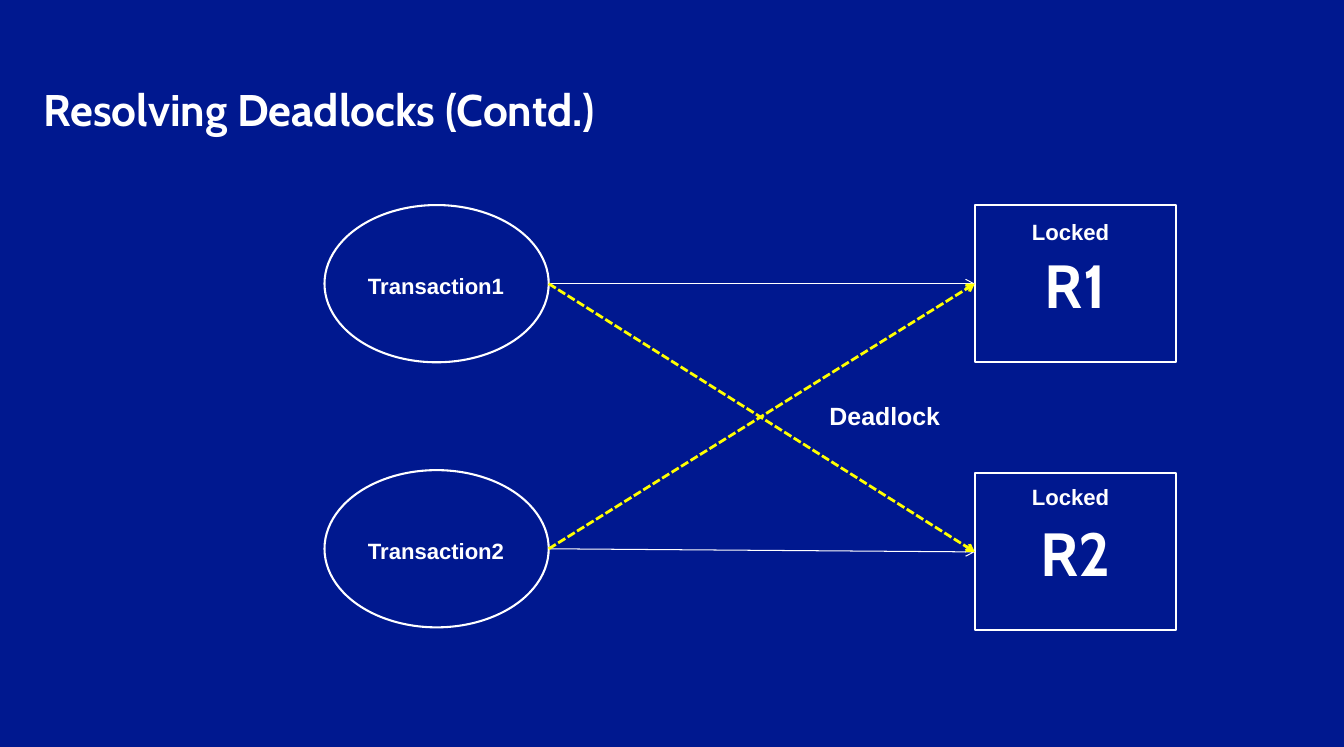
from dataclasses import dataclass

from lxml.etree import SubElement
from pptx import Presentation
from pptx.dml.color import RGBColor
from pptx.enum.dml import MSO_LINE
from pptx.enum.shapes import MSO_CONNECTOR, MSO_SHAPE
from pptx.enum.text import MSO_ANCHOR, MSO_AUTO_SIZE, PP_ALIGN
from pptx.oxml.ns import qn
from pptx.util import Cm, Pt


@dataclass(frozen=True)
class Theme:
    """Colours, fonts and type sizes of the slide."""
    background: RGBColor = RGBColor(0x00, 0x18, 0x8F)
    white: RGBColor = RGBColor(0xFF, 0xFF, 0xFF)
    yellow: RGBColor = RGBColor(0xFF, 0xFF, 0x00)
    heading_font: str = "Cabin"
    label_font: str = "Arial"
    title: int = 32
    resource: int = 44
    label: int = 16
    caption: int = 18


THEME = Theme()
NODE_HEIGHT = 4.01
TRANSACTION_LEFT, TRANSACTION_WIDTH = 8.28, 5.72
RESOURCE_LEFT, RESOURCE_WIDTH = 24.87, 5.13


def write(tf, text, font, size, align=PP_ALIGN.CENTER, before=0.0):
    """Write one bold white run, spaced by a share of its type size."""
    p = tf.paragraphs[0]
    p.alignment = align
    p.space_before = Pt(size * before)
    r = p.add_run()
    r.text = text
    r.font.name = font
    r.font.size = Pt(size)
    r.font.bold = True
    r.font.color.rgb = THEME.white


def add_text(s, box, text, font, size, wrap=False, **style):
    """Add a text box that grows with its text."""
    tf = s.shapes.add_textbox(*map(Cm, box)).text_frame
    tf.word_wrap = wrap
    tf.auto_size = MSO_AUTO_SIZE.SHAPE_TO_FIT_TEXT
    write(tf, text, font, size, **style)


def add_label(s, box, text, size=THEME.label):
    """Add a centred label in the label font."""
    add_text(s, box, text, THEME.label_font, size, before=0.1)


def add_node(s, kind, left, top, width):
    """Add an unfilled shape with a white outline."""
    sp = s.shapes.add_shape(kind, Cm(left), Cm(top), Cm(width), Cm(NODE_HEIGHT))
    sp.shadow.inherit = False
    sp.fill.background()
    sp.line.color.rgb = THEME.white
    sp.line.width = Pt(1.5)
    return sp


def add_resource(s, top, name):
    """Add a resource rectangle with its name inside."""
    sp = add_node(s, MSO_SHAPE.RECTANGLE, RESOURCE_LEFT, top, RESOURCE_WIDTH)
    sp.text_frame.vertical_anchor = MSO_ANCHOR.MIDDLE
    write(sp.text_frame, name, THEME.heading_font, THEME.resource, before=0.1)
    return sp


def add_arrow(s, transaction, resource, color, width, dash=None):
    """Draw an arrow from a transaction's right side to a resource's left side."""
    x = transaction.left + transaction.width
    y = transaction.top + transaction.height // 2
    c = s.shapes.add_connector(MSO_CONNECTOR.STRAIGHT, x, y, x, y)
    c.end_connect(resource, 1)
    c.line.color.rgb = color
    c.line.width = Pt(width)
    if dash is not None:
        c.line.dash_style = dash
    SubElement(c.line._get_or_add_ln(), qn("a:tailEnd"), type="arrow")
    SubElement(c._element.spPr, qn("a:effectLst"))


def main():
    """Build the deadlock slide and save it."""
    prs = Presentation()
    prs.slide_width, prs.slide_height = Cm(34.29), Cm(19.05)
    s = prs.slides.add_slide(prs.slide_layouts[6])
    s.background.fill.solid()
    s.background.fill.fore_color.rgb = THEME.background

    transaction_tops = (5.23, 11.99)
    transactions = [
        add_node(s, MSO_SHAPE.OVAL, TRANSACTION_LEFT, top, TRANSACTION_WIDTH)
        for top in transaction_tops
    ]
    resources = [add_resource(s, top, name) for top, name in ((5.23, "R1"), (12.07, "R2"))]

    for transaction, resource in zip(transactions, resources):
        add_arrow(s, transaction, resource, THEME.white, 0.75)
    for transaction, resource in zip(reversed(transactions), resources):
        add_arrow(s, transaction, resource, THEME.yellow, 2, MSO_LINE.SQUARE_DOT)

    for number, top in enumerate(transaction_tops, 1):
        add_label(s, (9.12, top + 1.6, 4.01, 0.94), f"Transaction{number}")
        add_label(s, (26.06, top + 0.22, 2.51, 0.94), "Locked")
    add_label(s, (20.9, 10.08, 3.35, 1.02), "Deadlock", THEME.caption)
    add_text(s, (0.86, 1.98, 32.87, 1.63), "Resolving Deadlocks (Contd.)",
             THEME.heading_font, THEME.title, wrap=True, align=PP_ALIGN.LEFT)
    prs.save("out.pptx")


if __name__ == "__main__":
    main()
